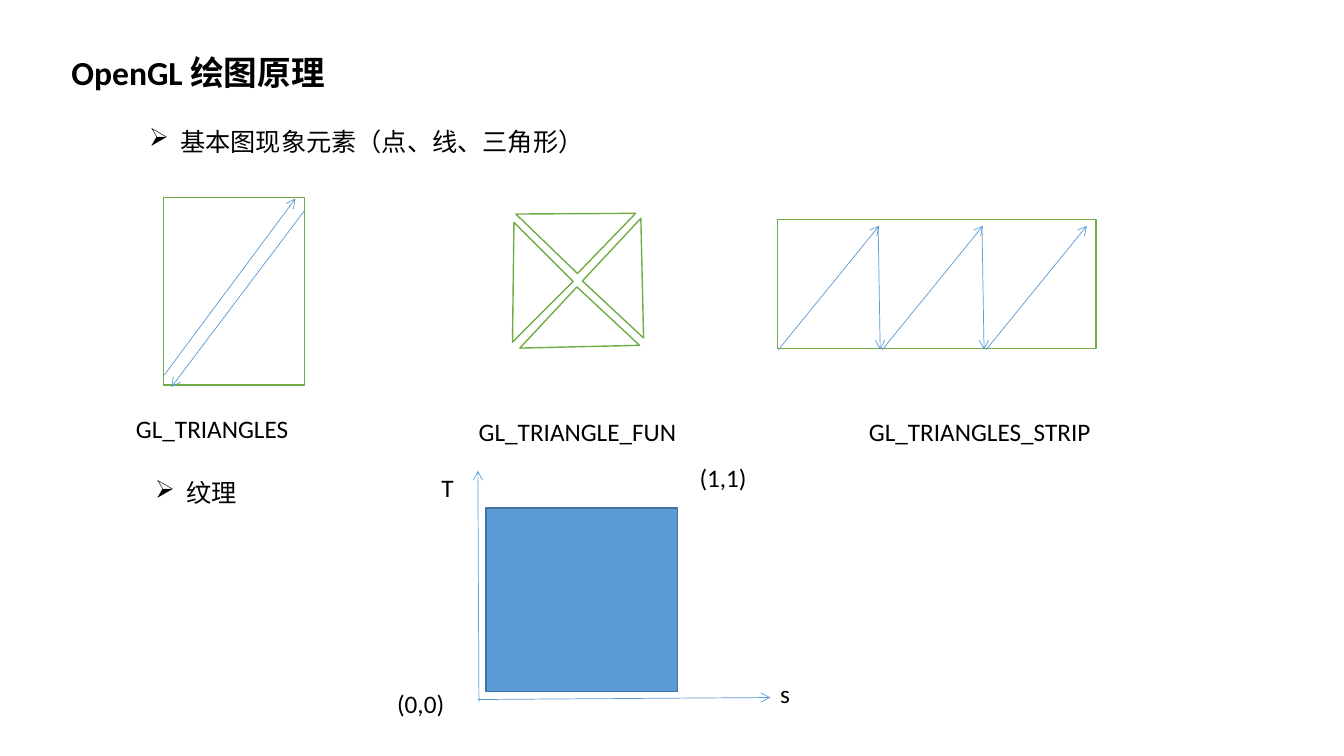
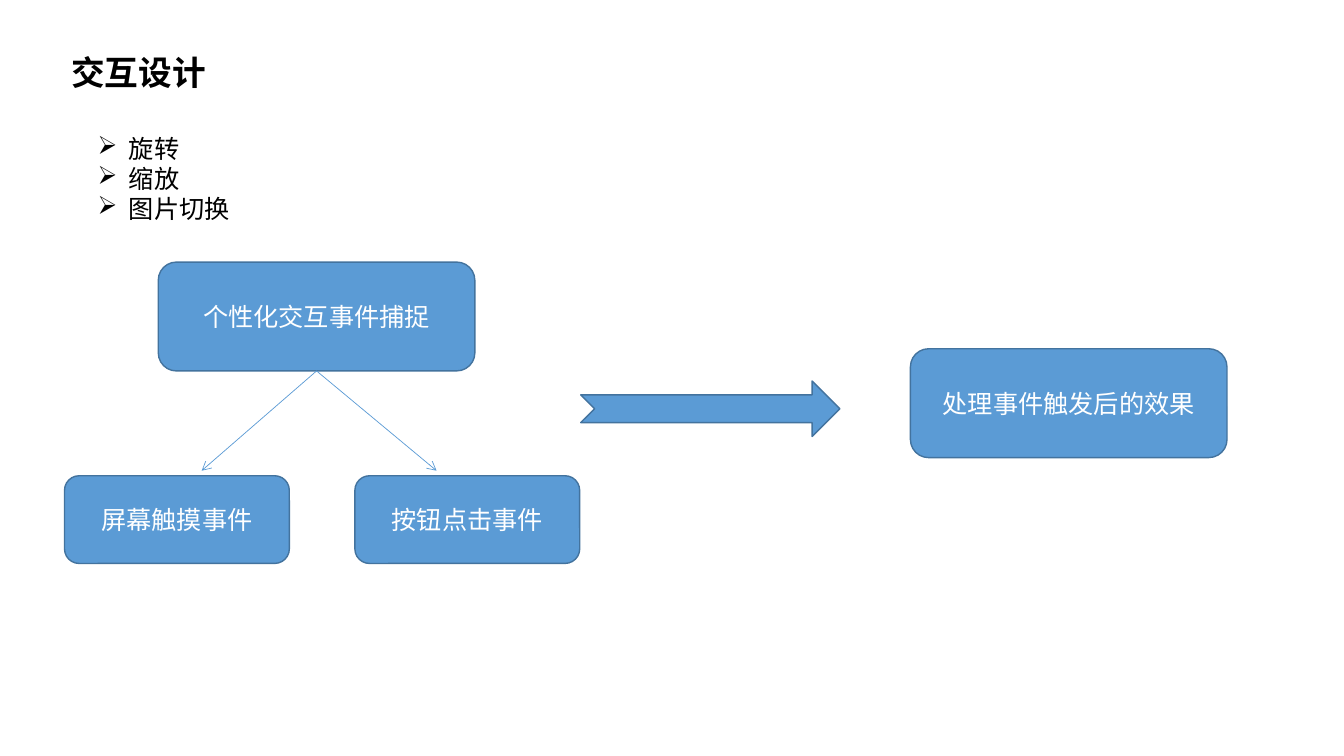
from lxml.etree import SubElement
from pptx import Presentation
from pptx.dml.color import RGBColor
from pptx.enum.shapes import MSO_CONNECTOR, MSO_SHAPE
from pptx.enum.text import MSO_ANCHOR, MSO_AUTO_SIZE, PP_ALIGN
from pptx.oxml.ns import qn
from pptx.util import Inches, Pt

COLORS = {"ink": "000000", "white": "FFFFFF", "blue": "5B9BD5",
          "edge": "43739E", "green": "70AD47"}
FONT = "Calibri"


def tint(name):
    """Return the named colour."""
    return RGBColor.from_string(COLORS[name])


def style(par, size, color, bold=False):
    """Format the runs of a paragraph."""
    for run in par.runs:
        font = run.font
        font.name, font.size, font.bold = FONT, Pt(size), bold
        font.color.rgb = tint(color)


def add_text(slide, box, text, size=18, bold=False):
    """Add a text box and return its paragraphs."""
    frame = slide.shapes.add_textbox(*map(Inches, box)).text_frame
    frame.word_wrap = True
    frame.auto_size = MSO_AUTO_SIZE.SHAPE_TO_FIT_TEXT
    frame.text = text
    for par in frame.paragraphs:
        style(par, size, "ink", bold)
    return frame.paragraphs


def add_list(slide, box, items):
    """Add a list with arrow bullets."""
    indent = Inches(0.31)
    for par in add_text(slide, box, "\n".join(items)):
        props = par._p.get_or_add_pPr()
        props.set("marL", str(indent))
        props.set("indent", str(-indent))
        SubElement(props, qn("a:buChar"), char="➢")


def add_form(slide, kind, box, fill="blue", line="edge", text="", turn=0):
    """Add a filled shape with optional centred text."""
    shape = slide.shapes.add_shape(kind, *map(Inches, box))
    shape.shadow.inherit = False
    shape.rotation = turn
    shape.fill.solid()
    shape.fill.fore_color.rgb = tint(fill)
    shape.line.color.rgb = tint(line)
    shape.line.width = Pt(1)
    if text:
        frame = shape.text_frame
        frame.text = text
        frame.vertical_anchor = MSO_ANCHOR.MIDDLE
        par = frame.paragraphs[0]
        par.alignment = PP_ALIGN.CENTER
        style(par, 18, "white")
    return shape


def add_arrow(slide, start, end):
    """Add a thin arrow between two points."""
    line = slide.shapes.add_connector(
        MSO_CONNECTOR.STRAIGHT, *map(Inches, (*start, *end)))
    line.line.color.rgb = tint("blue")
    line.line.width = Pt(0.5)
    SubElement(line.line._get_or_add_ln(), qn("a:tailEnd"), type="arrow")
    SubElement(line._element.spPr, qn("a:effectLst"))
    return line


def add_page(deck, title):
    """Add a blank slide with the shared title."""
    slide = deck.slides.add_slide(deck.slide_layouts[6])
    add_text(slide, (0.61, 0.47, 7.47, 0.5), title, 24, True)
    return slide


def draw_pair(slide, box):
    """Draw a frame split by two opposed arrows."""
    x, y, w, h = box
    add_form(slide, MSO_SHAPE.RECTANGLE, box, "white", "green")
    add_arrow(slide, (x + 0.01, y + h - 0.1), (x + w - 0.09, y + 0.01))
    add_arrow(slide, (x + w, y + 0.13), (x + 0.08, y + h + 0.02))


def draw_fan(slide, box):
    """Draw four right triangles that meet at the centre of the box."""
    x, y, w, h = box
    wide, high = 0.83, 0.85
    left, top = x + (w - wide) / 2, y + (h - high) / 2
    for dx, dy, turn in ((-0.64, 0.02, 225), (0.64, -0.02, 43),
                         (0.02, 0.66, 133), (-0.02, -0.66, 314)):
        add_form(slide, MSO_SHAPE.RIGHT_TRIANGLE,
                 (left + dx, top + dy, wide, high), "white", "green", turn=turn)


def draw_strip(slide, box, count=3):
    """Draw a frame with a zigzag of arrows."""
    x, y, w, h = box
    add_form(slide, MSO_SHAPE.RECTANGLE, box, "white", "green")
    step = (w - 0.07) / count
    high, low = y + 0.06, y + h + 0.01
    for i in range(count):
        left = x + 0.01 + i * step
        add_arrow(slide, (left, low), (left + 1, high))
        if i < count - 1:
            add_arrow(slide, (left + 0.99, high), (left + 1.01, low))


def draw_axes(slide, box):
    """Draw the texture square with its axes and labels."""
    x, y, w, h = box
    base = y + h + 0.08
    add_form(slide, MSO_SHAPE.RECTANGLE, box)
    add_arrow(slide, (x - 0.07, base + 0.02), (x - 0.08, y - 0.37))
    add_arrow(slide, (x - 0.08, base), (x + w + 0.92, base - 0.02))
    for dx, dy, wide, text in ((-0.98, h - 0.08, 0.82, "(0,0)"),
                               (w + 0.12, -0.5, 0.82, "(1,1)"),
                               (w + 0.92, h - 0.18, 0.4, "s"),
                               (-0.54, -0.4, 0.4, "T")):
        add_text(slide, (x + dx, y + dy, wide, 0.4), text)


def draw_tree(slide, box):
    """Draw the event box above its two sources."""
    x, y, w, h = box
    wide, high, kid = 3.14, 1.08, (2.23, 0.87)
    kind = MSO_SHAPE.ROUNDED_RECTANGLE
    root = add_form(slide, kind, (x + 0.93, y, wide, high), text="个性化交互事件捕捉")
    mid, base, top = x + 0.93 + wide / 2, y + high, y + h - kid[1]
    for left, tip, text in ((x, x + 1.36, "屏幕触摸事件"),
                            (x + w - kid[0], x + 3.69, "按钮点击事件")):
        add_form(slide, kind, (left, top, *kid), text=text)
        line = add_arrow(slide, (mid, base), (tip, top - 0.05))
        line.begin_connect(root, 2)


def draw_result(slide, box):
    """Draw the wide arrow and the result box to its right."""
    x, y, w, h = box
    add_form(slide, MSO_SHAPE.NOTCHED_RIGHT_ARROW, (x, y + 0.32, 2.57, 0.55))
    add_form(slide, MSO_SHAPE.ROUNDED_RECTANGLE, (x + w - 3.14, y, 3.14, h),
             text="处理事件触发后的效果")


def build_draw(deck):
    """Build the drawing slide."""
    slide = add_page(deck, "OpenGL 绘图原理")
    add_list(slide, (1.38, 1.2, 8.76, 0.4), ["基本图现象元素（点、线、三角形）"])
    add_list(slide, (1.44, 4.69, 8.76, 0.4), ["纹理"])
    draw_pair(slide, (1.62, 1.96, 1.4, 1.86))
    draw_fan(slide, (5.08, 2.1, 1.3, 1.36))
    draw_strip(slide, (7.71, 2.18, 3.16, 1.28))
    for x, y, w, text in ((1.25, 4.05, 1.82, "GL_TRIANGLES"),
                          (4.65, 4.08, 2.3, "GL_TRIANGLE_FUN"),
                          (8.52, 4.08, 3, "GL_TRIANGLES_STRIP")):
        add_text(slide, (x, y, w, 0.4), text)
    draw_axes(slide, (4.82, 5.04, 1.9, 1.82))


def build_touch(deck):
    """Build the user input slide."""
    slide = add_page(deck, "交互设计")
    add_list(slide, (0.87, 1.27, 9.36, 1), ["旋转", "缩放", "图片切换"])
    draw_tree(slide, (0.64, 2.6, 5.11, 2.99))
    draw_result(slide, (5.76, 3.46, 6.41, 1.08))


def main():
    """Build and save the deck."""
    deck = Presentation()
    deck.slide_width, deck.slide_height = Inches(13.33), Inches(7.5)
    build_draw(deck)
    build_touch(deck)
    deck.save("out.pptx")


if __name__ == "__main__":
    main()
